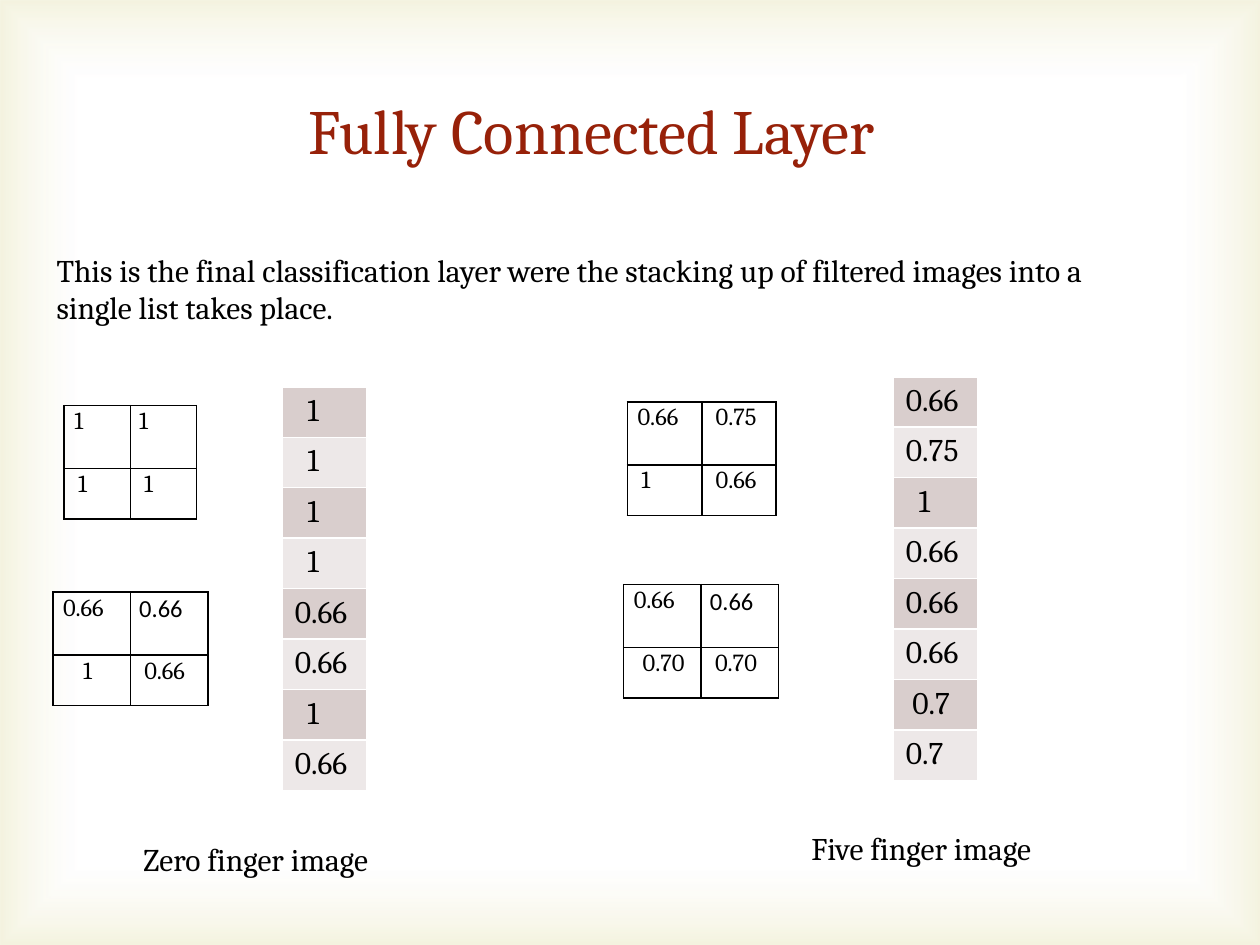
"""Build the Fully Connected Layer slide with its filtered grids and stacked lists."""
import pptx
import pptx.dml.color
import pptx.enum.shapes
import pptx.oxml
import pptx.util
from pptx.util import Inches

RED = pptx.dml.color.RGBColor(0x97, 0x21, 0x09)
BLACK = pptx.dml.color.RGBColor(0, 0, 0)
WHITE = pptx.dml.color.RGBColor(0xFF, 0xFF, 0xFF)
BANDS = (pptx.dml.color.RGBColor(0xD9, 0xCE, 0xCD),
         pptx.dml.color.RGBColor(0xED, 0xE8, 0xE8))
GLOW = pptx.dml.color.RGBColor(0xD1, 0xCA, 0x75)
SERIF, SANS = "Cambria", "Calibri"
NS = 'xmlns:a="http://schemas.openxmlformats.org/drawingml/2006/main"'

CAPTIONS = [
    ((2.35, 0.68, 5.3, 0.71), ["Fully Connected Layer"], 36, RED),
    ((0.35, 1.94, 9.19, 0.71),
     ["This is the final classification layer were the stacking up of filtered images into a",
      "single list takes place."], 18, BLACK),
    ((1.04, 6.62, 2.21, 0.4), ["Zero finger image"], 18, BLACK),
    ((6.34, 6.53, 2.15, 0.4), ["Five finger image"], 18, BLACK),
]
GRIDS = [
    (0.51, 3.22, 1.05, [[("1", 0.08, SERIF), ("1", 0.07, SERIF)],
                        [("1", 0.11, SERIF), ("1", 0.11, SERIF)]]),
    (0.42, 4.7, 1.23, [[("0.66", 0.08, SERIF), ("0.66", 0.07, SANS)],
                       [("1", 0.24, SERIF), ("0.66", 0.11, SERIF)]]),
    (4.98, 3.19, 1.18, [[("0.66", 0.08, SERIF), ("0.75", 0.11, SERIF)],
                        [("1", 0.11, SERIF), ("0.66", 0.11, SERIF)]]),
    (4.95, 4.64, 1.23, [[("0.66", 0.08, SERIF), ("0.66", 0.07, SANS)],
                        [("0.70", 0.15, SERIF), ("0.70", 0.11, SERIF)]]),
]
STACKS = [
    (2.24, 3.07, [("1", 0.2), ("1", 0.2), ("1", 0.2), ("1", 0.2),
                  ("0.66", 0.1), ("0.66", 0.1), ("1", 0.2), ("0.66", 0.1)]),
    (7.09, 2.99, [("0.66", 0.1), ("0.75", 0.1), ("1", 0.2), ("0.66", 0.1),
                  ("0.66", 0.1), ("0.66", 0.1), ("0.7", 0.15), ("0.7", 0.1)]),
]
GRID_ROWS = (0.5, 0.4)
STACK_WIDTH, STACK_ROW = 0.67, 0.4


def style(paragraph, size, color, font=SERIF):
    for run in paragraph.runs:
        run.font.size = pptx.util.Pt(size)
        run.font.name = font
        run.font.color.rgb = color


def add_glow(slide, width, height):
    glow = slide.shapes.add_shape(
        pptx.enum.shapes.MSO_SHAPE.RECTANGLE, 0, 0, width, height)
    glow.shadow.inherit = False
    glow.line.fill.background()
    glow.fill.background()
    stops = "".join(
        f'<a:gs pos="{pos}000"><a:srgbClr val="{color}"><a:alpha val="{alpha}000"/></a:srgbClr></a:gs>'
        for pos, color, alpha in ((83, WHITE, 11), (100, GLOW, 23)))
    gradient = pptx.oxml.parse_xml(
        f'<a:gradFill {NS} rotWithShape="1"><a:gsLst>{stops}</a:gsLst><a:path path="rect">'
        '<a:fillToRect l="50000" t="50000" r="50000" b="50000"/></a:path></a:gradFill>')
    properties = glow.element.spPr
    properties.replace(properties.find(pptx.oxml.ns.qn("a:noFill")), gradient)


def add_caption(slide, box, lines, size, color):
    frame = slide.shapes.add_textbox(*map(Inches, box)).text_frame
    frame.word_wrap = True
    frame.text = "\n".join(lines)
    for paragraph in frame.paragraphs:
        style(paragraph, size, color)


def add_table(slide, left, top, width, heights, columns):
    table = slide.shapes.add_table(
        len(heights), columns, Inches(left), Inches(top),
        Inches(width), Inches(sum(heights))).table
    table.first_row = table.horz_banding = False
    for row, height in zip(table.rows, heights):
        row.height = Inches(height)
    return table


def fill_cell(cell, value, indent, size, border, font=SERIF):
    cell.text = value
    cell.margin_left = Inches(indent)
    style(cell.text_frame.paragraphs[0], size, BLACK, font)
    for side in "LRTB":
        cell._tc.get_or_add_tcPr().append(pptx.oxml.parse_xml(
            f'<a:ln{side} {NS} w="12700"><a:solidFill><a:srgbClr val="{border}"/>'
            f'</a:solidFill></a:ln{side}>'))


def add_grid(slide, left, top, width, rows):
    table = add_table(slide, left, top, width, GRID_ROWS, len(rows[0]))
    for r, row in enumerate(rows):
        for c, (value, indent, font) in enumerate(row):
            cell = table.cell(r, c)
            fill_cell(cell, value, indent, 14, BLACK, font)
            cell.margin_top = cell.margin_bottom = 0
            cell.margin_right = Inches(0.07)
            cell.text_frame.paragraphs[0].line_spacing = 1.07
            cell.fill.background()


def add_stack(slide, left, top, values):
    table = add_table(slide, left, top, STACK_WIDTH, [STACK_ROW] * len(values), 1)
    for r, (value, indent) in enumerate(values):
        cell = table.cell(r, 0)
        fill_cell(cell, value, indent, 18, WHITE)
        cell.margin_right = Inches(0.05)
        cell.fill.solid()
        cell.fill.fore_color.rgb = BANDS[r % 2]


def main():
    deck = pptx.Presentation()
    deck.slide_width, deck.slide_height = Inches(10), Inches(7.5)
    slide = deck.slides.add_slide(deck.slide_layouts[6])
    add_glow(slide, deck.slide_width, deck.slide_height)
    for caption in CAPTIONS:
        add_caption(slide, *caption)
    for grid in GRIDS:
        add_grid(slide, *grid)
    for stack in STACKS:
        add_stack(slide, *stack)
    deck.save("out.pptx")


if __name__ == "__main__":
    main()
